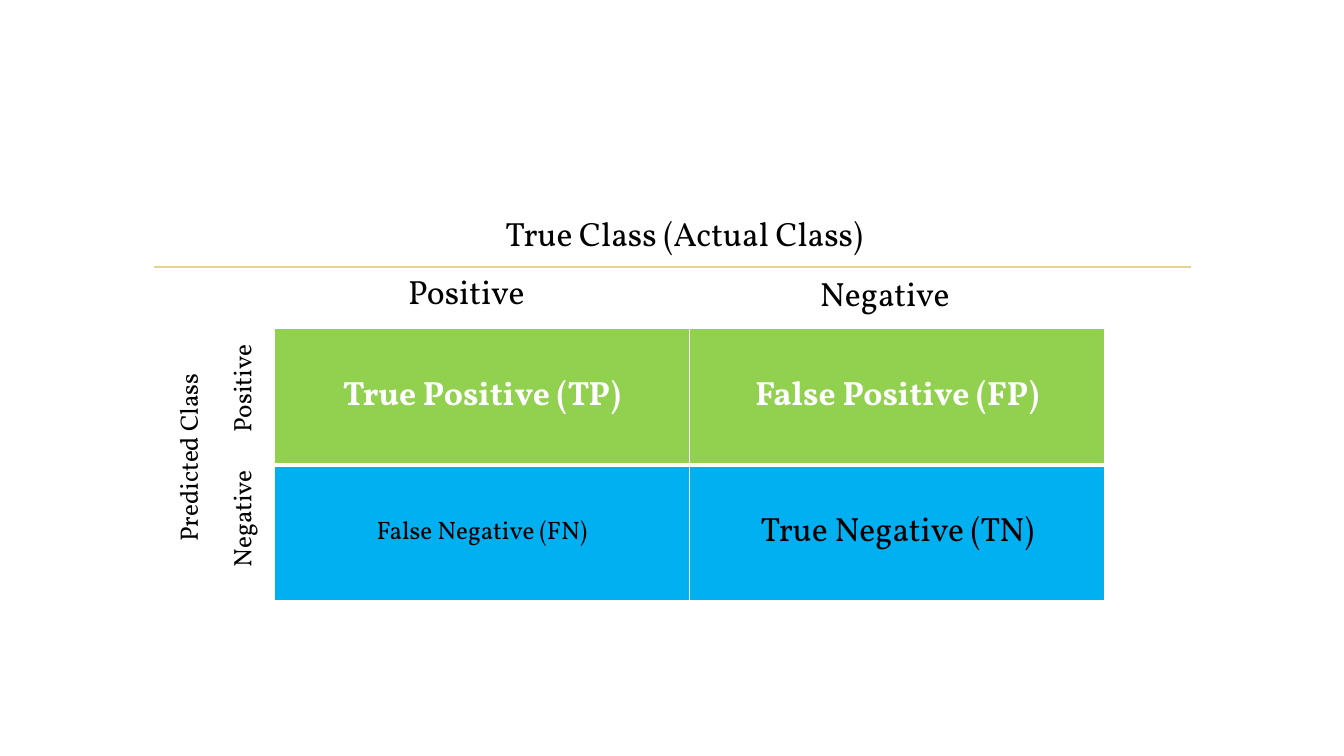
from lxml import etree
from pptx import Presentation
from pptx.dml.color import RGBColor
from pptx.enum.shapes import MSO_CONNECTOR
from pptx.enum.text import MSO_ANCHOR, PP_ALIGN
from pptx.oxml.ns import qn
from pptx.util import Inches, Pt

CENTER, LEFT = PP_ALIGN.CENTER, PP_ALIGN.LEFT
MIDDLE = MSO_ANCHOR.MIDDLE
STRAIGHT = MSO_CONNECTOR.STRAIGHT

COLORS = {"text": "000000", "light": "FFFFFF", "rule": "E8D191",
          "positive": "92D050", "negative": "00B0F0"}
FONT = "Vollkorn"
BLANK_LAYOUT = 6

# Each cell: text, size, bold, text colour, fill colour
MATRIX = [
    [("True Positive (TP)", 24, True, "light", "positive"),
     ("False Positive (FP)", 24, True, "light", "positive")],
    [("False Negative (FN)", 18, False, "text", "negative"),
     ("True Negative (TN)", 24, False, "text", "negative")],
]

# Each label: text, position and size, font size, rotation, alignment
LABELS = [
    ("True Class (Actual Class)", (2.72, 2.06, 8.13, 0.5), 24, 0, CENTER),
    ("Positive", (2.88, 2.64, 3.49, 0.5), 24, 0, CENTER),
    ("Negative", (7.03, 2.66, 3.49, 0.5), 24, 0, CENTER),
    ("Negative", (1.65, 4.78, 1.49, 0.4), 18, 270, LEFT),
    ("Positive", (1.76, 3.55, 1.27, 0.4), 18, 270, LEFT),
    ("Predicted Class", (-0.47, 4.34, 4.67, 0.4), 18, 270, CENTER),
]


def rgb(name):
    return RGBColor.from_string(COLORS[name])


class MatrixSlide:
    """Holds the current page and its font, and draws each kind of element."""

    def __init__(self, page, font):
        self.page = page
        self.font = font

    def add_text(self, frame, text, size, color="text", bold=False, align=CENTER):
        para = frame.paragraphs[0]
        para.alignment = align
        span = para.add_run()
        span.text = text
        style = {"name": self.font, "size": Pt(size), "bold": bold}
        for attribute, value in style.items():
            setattr(span.font, attribute, value)
        span.font.color.rgb = rgb(color)

    def label(self, text, bounds, size, rotation, align):
        box = self.page.shapes.add_textbox(*map(Inches, bounds))
        box.rotation = rotation
        box.text_frame.word_wrap = True
        self.add_text(box.text_frame, text, size, align=align)

    def rule(self, left, right, top, color, width):
        line = self.page.shapes.add_connector(
            STRAIGHT, Inches(left), Inches(top), Inches(right), Inches(top))
        line.line.color.rgb = rgb(color)
        line.line.width = Pt(width)
        etree.SubElement(line._element.spPr, qn("a:effectLst"))

    def border(self, cell, widths):
        """Draw white borders, with widths in points keyed by side (L, R, T, B)."""
        properties = cell._tc.get_or_add_tcPr()
        for side, width in widths.items():
            edge = etree.SubElement(properties, qn(f"a:ln{side}"), w=str(Pt(width)))
            fill = etree.SubElement(edge, qn("a:solidFill"))
            etree.SubElement(fill, qn("a:srgbClr"), val=COLORS["light"])

    def matrix(self, rows, left, top, width, height):
        table = self.page.shapes.add_table(
            len(rows), len(rows[0]), *map(Inches, (left, top, width, height))).table
        table.first_row = table.horz_banding = False
        for r, row in enumerate(rows):
            for c, (text, size, bold, color, fill) in enumerate(row):
                cell = table.cell(r, c)
                cell.vertical_anchor = MIDDLE
                self.add_text(cell.text_frame, text, size, color, bold)
                self.border(cell, {"L": 1, "R": 1,
                                   "T": 1 if r == 0 else 3,
                                   "B": 3 if r == 0 else 1})
                cell.fill.solid()
                cell.fill.fore_color.rgb = rgb(fill)


def main():
    deck = Presentation()
    deck.slide_width, deck.slide_height = Inches(13.33), Inches(7.5)
    page = deck.slides.add_slide(deck.slide_layouts[BLANK_LAYOUT])
    slide = MatrixSlide(page, FONT)
    slide.rule(1.53, 11.81, 2.65, "rule", 1.25)
    slide.matrix(MATRIX, 2.72, 3.26, 8.24, 2.7)
    for label in LABELS:
        slide.label(*label)
    deck.save("out.pptx")


if __name__ == "__main__":
    main()
